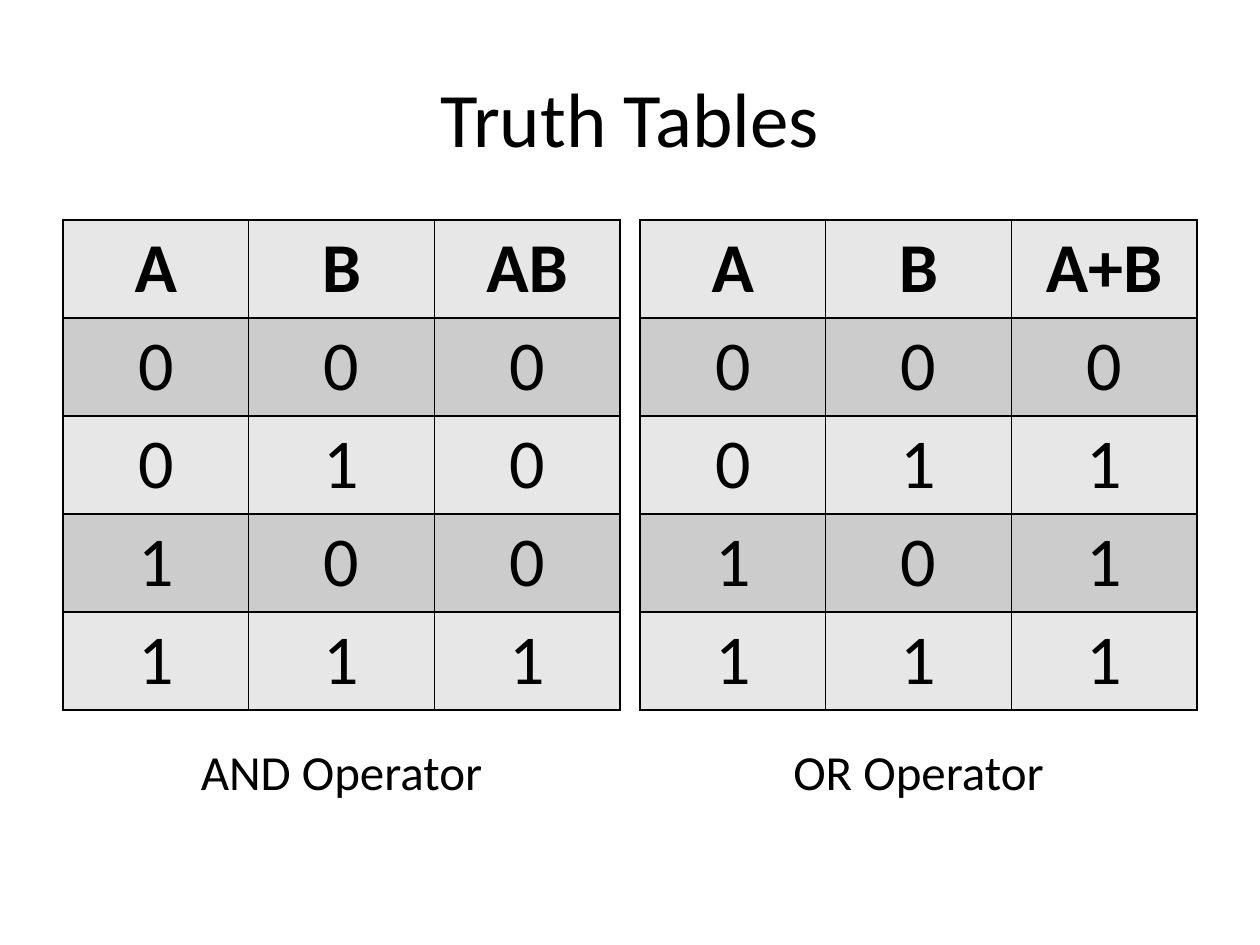
from lxml import etree
from pptx import Presentation
from pptx.dml.color import RGBColor
from pptx.enum.text import MSO_ANCHOR, PP_ALIGN
from pptx.oxml.ns import qn
from pptx.util import Emu, Pt

CENTER = PP_ALIGN.CENTER
TOP, MIDDLE = MSO_ANCHOR.TOP, MSO_ANCHOR.MIDDLE

BLACK = RGBColor(0x00, 0x00, 0x00)
LIGHT = RGBColor(0xE7, 0xE7, 0xE7)
DARK = RGBColor(0xCC, 0xCC, 0xCC)
FONT = "Calibri"

TITLE = "Truth Tables"
INPUTS = [(0, 0), (0, 1), (1, 0), (1, 1)]
TABLES = [
    ("AND Operator", "AB", [0, 0, 0, 1]),
    ("OR Operator", "A+B", [0, 1, 1, 1]),
]

WIDTH, HEIGHT = 1260, 945
MARGIN, GAP = 63, 20
TABLE_W = (WIDTH - 2 * MARGIN - GAP) // 2
TABLE_Y, ROW_H = 220, 98
NOTE_Y, NOTE_H = 735, 110


def px(n):
    return Emu(round(n * 914400 / 126))


def style(frame, size, bold=False):
    for para in frame.paragraphs:
        para.alignment = CENTER
        for run in para.runs:
            font = run.font
            font.name, font.size, font.bold = FONT, Pt(size), bold
            font.color.rgb = BLACK


def add_label(slide, text, x, y, w, h, size, anchor):
    frame = slide.shapes.add_textbox(px(x), px(y), px(w), px(h)).text_frame
    frame.word_wrap = True
    frame.vertical_anchor = anchor
    frame.text = text
    style(frame, size)


def add_border(cell):
    """Draw a 1 pt black line on all four sides, ahead of the cell's fill."""
    props = cell._tc.get_or_add_tcPr()
    for i, side in enumerate(("a:lnL", "a:lnR", "a:lnT", "a:lnB")):
        line = etree.Element(qn(side), w=str(Pt(1)))
        fill = etree.SubElement(line, qn("a:solidFill"))
        etree.SubElement(fill, qn("a:srgbClr"), val=str(BLACK))
        props.insert(i, line)


def add_truth_table(slide, rows, x):
    table = slide.shapes.add_table(
        len(rows), len(rows[0]), px(x), px(TABLE_Y),
        px(TABLE_W), px(ROW_H * len(rows))).table
    for r, row in enumerate(rows):
        for c, value in enumerate(row):
            cell = table.cell(r, c)
            cell.text_frame.text = str(value)
            style(cell.text_frame, 40, bold=r == 0)
            cell.fill.solid()
            cell.fill.fore_color.rgb = DARK if r % 2 else LIGHT
            add_border(cell)


def main():
    deck = Presentation()
    deck.slide_width, deck.slide_height = px(WIDTH), px(HEIGHT)
    slide = deck.slides.add_slide(deck.slide_layouts[6])
    add_label(slide, TITLE, MARGIN, 38, WIDTH - 2 * MARGIN, 157, 44, MIDDLE)
    for i, (name, head, results) in enumerate(TABLES):
        x = MARGIN + i * (TABLE_W + GAP)
        rows = [("A", "B", head)]
        rows += [(a, b, out) for (a, b), out in zip(INPUTS, results)]
        add_truth_table(slide, rows, x)
        add_label(slide, name, x, NOTE_Y, TABLE_W, NOTE_H, 28, TOP)
    deck.save("out.pptx")


if __name__ == "__main__":
    main()
